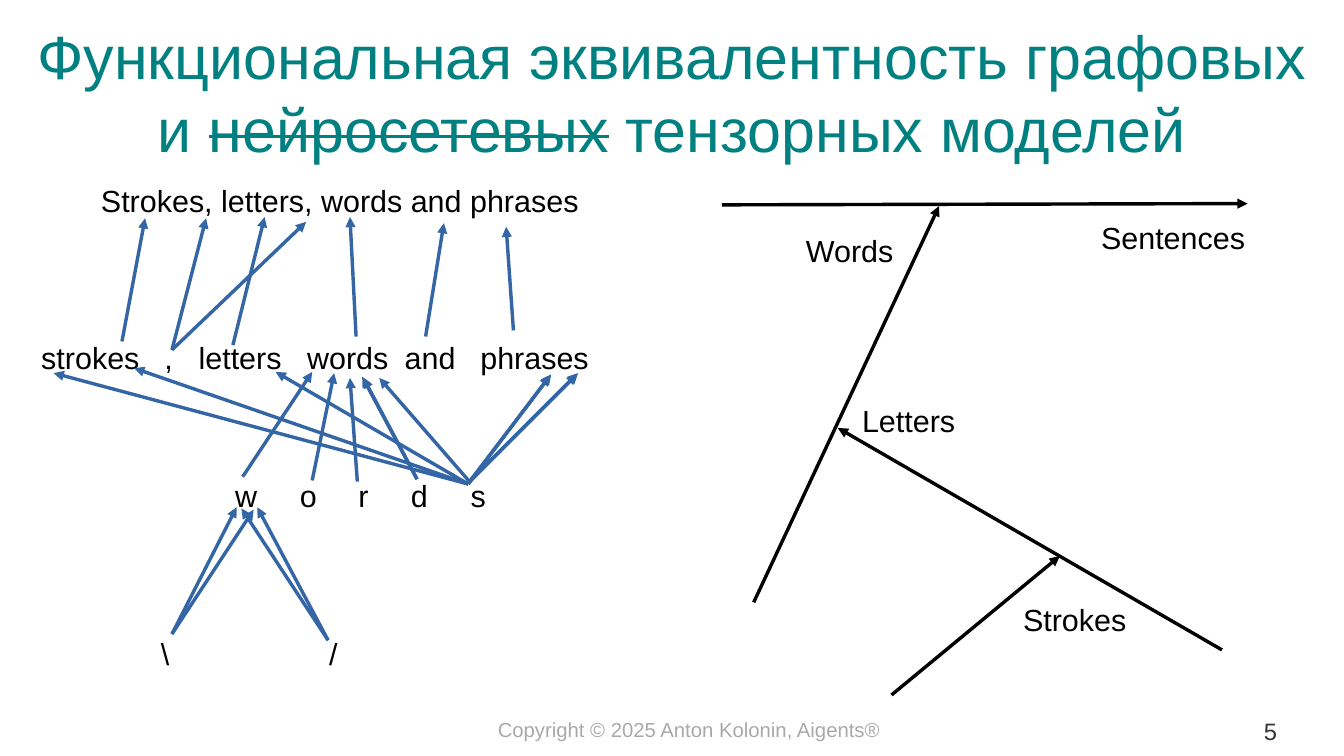
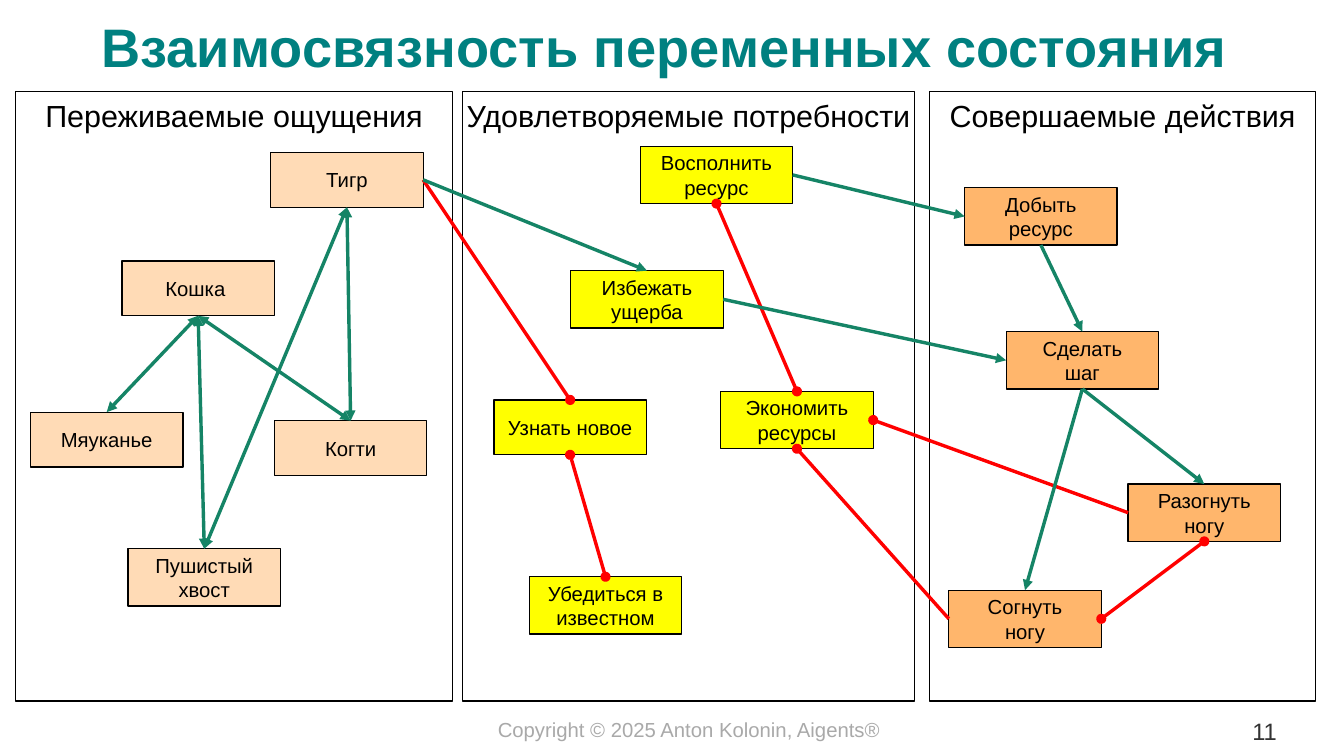
import pptx
import pptx.dml.color
import pptx.enum.shapes
import pptx.enum.text
import pptx.oxml.ns
import pptx.util
from lxml import etree

Inches, Pt = pptx.util.Inches, pptx.util.Pt
ALIGN = pptx.enum.text.PP_ALIGN
ANCHOR = pptx.enum.text.MSO_ANCHOR
SHAPE = pptx.enum.shapes.MSO_SHAPE
CONNECTOR = pptx.enum.shapes.MSO_CONNECTOR
qn = pptx.oxml.ns.qn

SLIDE_W, SLIDE_H = 11.02, 6.2
FONT = "Arial"
COPYRIGHT = "Copyright © 2025 Anton Kolonin, Aigents®"
COLORS = {
    "title": "008080",
    "text": "000000",
    "footer": "A9A9A9",
    "number": "333333",
    "word_arrow": "3465A4",
    "excite": "158466",
    "inhibit": "FF0000",
    "sensation": "FFDBB6",
    "need": "FFFF00",
    "action": "FFB66C",
}
TOP, LEFT, BOTTOM, RIGHT = range(4)  # connection sites of a rectangle


def rgb(name):
    return pptx.dml.color.RGBColor.from_string(COLORS[name])


def style(p, size, color="text", align=ALIGN.LEFT, bold=False):
    p.alignment = align
    p.font.name, p.font.size, p.font.bold = FONT, Pt(size), bold
    p.font.color.rgb = rgb(color)


def set_frame(tf, anchor=ANCHOR.TOP, inset=(0.1, 0.05)):
    tf.word_wrap = True
    tf.vertical_anchor = anchor
    tf.margin_left = tf.margin_right = Inches(inset[0])
    tf.margin_top = tf.margin_bottom = Inches(inset[1])


def add_text(slide, box, text, size, inset=(0.1, 0.05), tabs=(), **look):
    """Add one paragraph; tabs are stops in inches from the text edge."""
    sp = slide.shapes.add_textbox(*map(Inches, box))
    set_frame(sp.text_frame, inset=inset)
    p = sp.text_frame.paragraphs[0]
    p.text = text
    if tabs:
        stops = etree.SubElement(p._p.get_or_add_pPr(), qn("a:tabLst"))
        for pos in tabs:
            etree.SubElement(stops, qn("a:tab"), pos=str(Inches(pos)), algn="l")
    style(p, size, **look)


def add_rect(slide, box, text, size, fill=None, **frame):
    sp = slide.shapes.add_shape(SHAPE.RECTANGLE, *map(Inches, box))
    sp.shadow.inherit = False
    if fill:
        sp.fill.solid()
        sp.fill.fore_color.rgb = rgb(fill)
    else:
        sp.fill.background()
    sp.line.color.rgb = rgb("text")
    sp.line.width = Pt(0)
    set_frame(sp.text_frame, **frame)
    sp.text_frame.text = text
    for p in sp.text_frame.paragraphs:
        style(p, size, align=ALIGN.CENTER)
    return sp


def add_arrow(slide, start, end, color, tail="triangle", head=None):
    """Draw a hairline; head marks its start and tail its end."""
    line = slide.shapes.add_connector(CONNECTOR.STRAIGHT, *map(Inches, (*start, *end)))
    line.line.color.rgb = rgb(color)
    line.line.width = Pt(0)
    ln = line.line._get_or_add_ln()
    for tag, mark in (("a:headEnd", head), ("a:tailEnd", tail)):
        if mark:
            etree.SubElement(ln, qn(tag), type=mark)
    etree.SubElement(line._element.spPr, qn("a:effectLst"))
    return line


def add_title(slide, height, size, parts, bold=False):
    """Add a centred title from (text, struck through) parts."""
    sp = slide.shapes.add_textbox(0, 0, Inches(SLIDE_W), Inches(height))
    set_frame(sp.text_frame, ANCHOR.MIDDLE)
    p = sp.text_frame.paragraphs[0]
    style(p, size, "title", ALIGN.CENTER, bold)
    for text, struck in parts:
        r = p.add_run()
        r.text = text
        if struck:
            r._r.get_or_add_rPr().set("strike", "sngStrike")


def add_footer(slide, number):
    add_text(slide, (3.12, 5.88, 5.06, 0.2), COPYRIGHT, 12, (0, 0),
             color="footer", align=ALIGN.CENTER)
    add_text(slide, (9.65, 5.88, 0.82, 0.2), str(number), 14, (0, 0),
             color="number", align=ALIGN.RIGHT)


# left, top, width, text, tab stops
WORD_ROWS = [
    (0.49, 0, 4.4, "Strokes, letters, words and phrases", ()),
    (0, 1.29, 4.9, "strokes\t,\tletters\twords\tand\tphrases",
     (1.01, 1.29, 2.18, 2.98, 3.6)),
    (1.59, 2.42, 2.4, "w\to\tr\td\ts", (0.53, 1.01, 1.44, 1.93)),
    (0.98, 3.72, 1.8, "\\\t/", (1.38,)),
]
# start, ends
WORD_ARROWS = [
    ((0.76, 1.36), [(0.95, 0.35)]),
    ((1.17, 1.43), [(1.45, 0.35), (2.27, 0.38)]),
    ((1.67, 1.39), [(1.93, 0.34)]),
    ((2.68, 1.32), [(2.63, 0.34)]),
    ((3.25, 1.32), [(3.4, 0.39)]),
    ((3.97, 1.27), [(3.91, 0.42)]),
    ((1.75, 2.47), [(2.32, 1.61)]),
    ((2.32, 2.5), [(2.5, 1.62)]),
    ((2.69, 2.51), [(2.63, 1.66)]),
    ((3.18, 2.49), [(2.73, 1.65), (2.74, 1.66)]),
    ((3.61, 2.51), [(2.87, 1.66), (4.5, 1.62), (4.49, 1.63), (4.28, 1.63)]),
    ((3.6, 2.53), [(4.27, 1.64), (2.02, 1.61), (0.86, 1.58), (0.2, 1.62)]),
    ((1.17, 3.76), [(1.7, 2.72), (1.84, 2.74)]),
    ((2.45, 3.81), [(1.74, 2.73), (1.87, 2.72)]),
]
# label, label corner, axis start, axis end
AXES = [
    ("Sentences", (3.01, 0.07), (0, 0), (4.31, -0.01)),
    ("Words", (0.59, 0.17), (0.26, 3.26), (1.78, 0.01)),
    ("Letters", (1.05, 1.57), (4.1, 3.65), (0.95, 1.83)),
    ("Strokes", (2.37, 3.2), (1.39, 4.02), (2.77, 2.88)),
]


def add_word_graph(slide, x, y):
    for left, top, width, text, tabs in WORD_ROWS:
        add_text(slide, (x + left, y + top, width, 0.38), text, 18, tabs=tabs)
    for (x1, y1), ends in WORD_ARROWS:
        for x2, y2 in ends:
            add_arrow(slide, (x + x1, y + y1), (x + x2, y + y2), "word_arrow")


def add_tensor_axes(slide, x, y):
    for label, (left, top), (x1, y1), (x2, y2) in AXES:
        add_arrow(slide, (x + x1, y + y1), (x + x2, y + y2), "text")
        add_text(slide, (x + left, y + top, 1.4, 0.38), label, 18)


# left, width, heading, fill, nodes: key -> (left, top, height, text)
PANELS = [
    (0.13, 3.58, "Переживаемые ощущения", "sensation", {
        "tiger": (2.09, 0.5, 0.45, "Тигр"),
        "cat": (0.87, 1.39, 0.45, "Кошка "),
        "meow": (0.12, 2.63, 0.45, "Мяуканье"),
        "claws": (2.12, 2.7, 0.45, "Когти"),
        "tail": (0.92, 3.75, 0.47, "Пушистый хвост"),
    }),
    (3.79, 3.71, "Удовлетворяемые потребности", "need", {
        "refill": (1.46, 0.45, 0.47, "Восполнить ресурс"),
        "avoid": (0.89, 1.47, 0.47, "Избежать ущерба"),
        "learn": (0.26, 2.53, 0.45, "Узнать новое"),
        "save": (2.12, 2.46, 0.47, "Экономить\nресурсы"),
        "confirm": (0.55, 3.98, 0.47, "Убедиться в известном"),
    }),
    (7.62, 3.17, "Совершаемые действия", "action", {
        "obtain": (0.29, 0.79, 0.47, "Добыть ресурс"),
        "step": (0.63, 1.97, 0.47, "Сделать\nшаг"),
        "unbend": (1.63, 3.22, 0.47, "Разогнуть\nногу"),
        "bend": (0.16, 4.09, 0.47, "Согнуть\nногу"),
    }),
]
# from, site, to, site, colour, marked at both ends
LINKS = [
    ("bend", LEFT, "save", BOTTOM, "inhibit", False),
    ("bend", RIGHT, "unbend", BOTTOM, "inhibit", True),
    ("unbend", LEFT, "save", RIGHT, "inhibit", False),
    ("confirm", TOP, "learn", BOTTOM, "inhibit", True),
    ("tiger", RIGHT, "learn", TOP, "inhibit", False),
    ("save", TOP, "refill", BOTTOM, "inhibit", True),
    ("meow", TOP, "cat", BOTTOM, "excite", True),
    ("cat", BOTTOM, "tail", TOP, "excite", True),
    ("cat", BOTTOM, "claws", TOP, "excite", True),
    ("tiger", BOTTOM, "tail", TOP, "excite", True),
    ("tiger", BOTTOM, "claws", TOP, "excite", True),
    ("tiger", RIGHT, "avoid", TOP, "excite", False),
    ("refill", RIGHT, "obtain", LEFT, "excite", False),
    ("avoid", RIGHT, "step", LEFT, "excite", False),
    ("obtain", BOTTOM, "step", TOP, "excite", False),
    ("step", BOTTOM, "bend", TOP, "excite", False),
    ("step", BOTTOM, "unbend", TOP, "excite", False),
]
MARKS = {"excite": "triangle", "inhibit": "oval"}


def add_panel(slide, box, heading, fill, nodes):
    """Draw a framed panel and return its node shapes by key."""
    add_rect(slide, box, heading, 18, inset=(0, 0.05))
    x, y = box[:2]
    return {
        key: add_rect(slide, (x + left, y + top, 1.25, height), text, 12, fill,
                      anchor=ANCHOR.MIDDLE)
        for key, (left, top, height, text) in nodes.items()
    }


def add_links(slide, shapes):
    for source, site1, target, site2, color, both in LINKS:
        mark = MARKS[color]
        line = add_arrow(slide, (0, 0), (1, 1), color, mark, mark if both else None)
        line.begin_connect(shapes[source], site1)
        line.end_connect(shapes[target], site2)


def build_equivalence(slide):
    add_title(slide, 1.5, 36, [
        ("Функциональная эквивалентность графовых и ", False),
        ("нейросетевых", True),
        (" тензорных моделей", False),
    ])
    add_word_graph(slide, 0.24, 1.44)
    add_tensor_axes(slide, 5.92, 1.68)
    add_footer(slide, 5)


def build_state_variables(slide):
    add_title(slide, 0.75, 32, [("Взаимосвязность переменных состояния ", False)], True)
    shapes = {}
    for left, width, heading, fill, nodes in PANELS:
        shapes.update(add_panel(slide, (left, 0.75, width, 5), heading, fill, nodes))
    add_links(slide, shapes)
    add_footer(slide, 11)


def main():
    prs = pptx.Presentation()
    prs.slide_width, prs.slide_height = Inches(SLIDE_W), Inches(SLIDE_H)
    for build in (build_equivalence, build_state_variables):
        build(prs.slides.add_slide(prs.slide_layouts[6]))
    prs.save("out.pptx")


if __name__ == "__main__":
    main()
